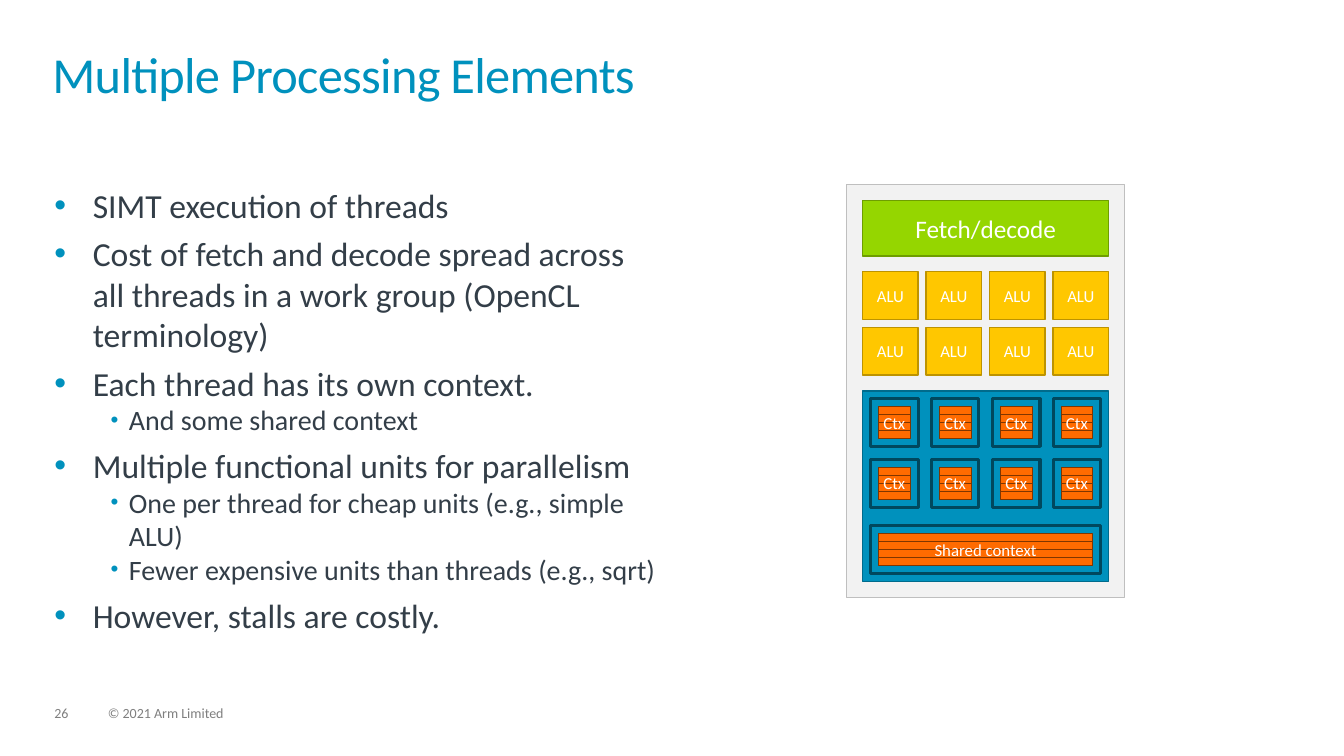
from lxml import etree
from pptx import Presentation
from pptx.dml.color import RGBColor
from pptx.enum.shapes import MSO_SHAPE
from pptx.enum.text import MSO_ANCHOR, MSO_AUTO_SIZE, PP_ALIGN
from pptx.oxml.ns import qn
from pptx.util import Cm, Pt

RECT = MSO_SHAPE.RECTANGLE
TOP, MIDDLE = MSO_ANCHOR.TOP, MSO_ANCHOR.MIDDLE
LEFT, CENTER = PP_ALIGN.LEFT, PP_ALIGN.CENTER

# Content
TITLE = "Multiple Processing Elements"
BULLETS = [
    (0, "SIMT execution of threads"),
    (0, "Cost of fetch and decode spread across all threads in a work group "
        "(OpenCL terminology)"),
    (0, "Each thread has its own context."),
    (1, "And some shared context"),
    (0, "Multiple functional units for parallelism"),
    (1, "One per thread for cheap units (e.g., simple ALU)"),
    (1, "Fewer expensive units than threads (e.g., sqrt)"),
    (0, "However, stalls are costly."),
]
# Text, left, width in cm
FOOTERS = [("26", 1.37, 0.86), ("© 2021 Arm Limited", 2.72, 12.88)]
ROWS, COLUMNS, BANDS = 2, 4, 4

# Formats
BLUE, WHITE = "0091BD", "FFFFFF"
LEVELS = [
    {"size": 24, "margin": 0.97, "hang": 0.97, "before": 6, "bullet_size": 100},
    {"size": 20, "margin": 1.88, "hang": 0.46, "before": 0, "bullet_size": 80},
]
# Fill, line colour, line width in points
PANEL = ("F2F2F2", "BFBFBF", 0.5)
DECODER = ("95D600", "6E9E00", 1)
UNIT = ("FFC700", "BD9300", 1)
STORE = (BLUE, "006B8C", 1)
FRAME = (BLUE, "00485E", 2.25)
BAND = ("FF6B00", "803600", 0.5)

# Diagram measures in cm
PANEL_LEFT, PANEL_TOP, PANEL_WIDTH, PANEL_HEIGHT = 21.34, 4.65, 7, 10.4
STEP = 0.2
MARGIN = 2 * STEP
CELL = 1.2
UNIT_WIDTH = 1.4
INNER_LEFT = PANEL_LEFT + MARGIN
INNER_WIDTH = PANEL_WIDTH - 2 * MARGIN
DECODER_TOP, DECODER_HEIGHT = PANEL_TOP + MARGIN, 1.4
UNITS_TOP = DECODER_TOP + DECODER_HEIGHT + MARGIN
STORE_TOP = UNITS_TOP + ROWS * CELL + STEP + MARGIN
STORE_HEIGHT = PANEL_TOP + PANEL_HEIGHT - MARGIN - STORE_TOP
FRAME_LEFT = INNER_LEFT + STEP
SHARED_WIDTH = INNER_WIDTH - 2 * STEP
SHARED_TOP = STORE_TOP + STORE_HEIGHT - STEP - CELL
UNIT_PITCH = (INNER_WIDTH - UNIT_WIDTH) / (COLUMNS - 1)
FRAME_PITCH = (SHARED_WIDTH - CELL) / (COLUMNS - 1)


def color(value):
    return RGBColor.from_string(value)


def area(left, top, width, height):
    return [Cm(round(value, 2)) for value in (left, top, width, height)]


def set_all(target, values):
    for name, value in values.items():
        setattr(target, name, value)


def prepare(frame, anchor=TOP, wrap=True, sides=0, ends=0):
    set_all(frame, {
        "auto_size": MSO_AUTO_SIZE.NONE, "word_wrap": wrap,
        "vertical_anchor": anchor,
        "margin_left": Cm(sides), "margin_right": Cm(sides),
        "margin_top": Cm(ends), "margin_bottom": Cm(ends),
    })


def write(para, text, size, ink, align=LEFT, spacing=1.0):
    set_all(para, {"alignment": align, "line_spacing": spacing})
    span = para.add_run()
    span.text = text
    set_all(span.font, {"name": "Calibri", "size": Pt(size), "bold": False})
    span.font.color.rgb = color(ink)
    return span


def add_bullet(para, level):
    properties = para._p.get_or_add_pPr()
    properties.set("marL", str(Cm(level["margin"])))
    properties.set("indent", str(-Cm(level["hang"])))
    tint = etree.SubElement(properties, qn("a:buClr"))
    etree.SubElement(tint, qn("a:srgbClr"), val=BLUE)
    etree.SubElement(properties, qn("a:buSzPct"),
                     val=str(level["bullet_size"] * 1000))
    etree.SubElement(properties, qn("a:buFont"), typeface="Arial")
    etree.SubElement(properties, qn("a:buChar"), char="•")


def add_block(shapes, place, style):
    fill, line, width = style
    block = shapes.add_shape(RECT, *area(*place))
    block.shadow.inherit = False
    block.fill.solid()
    block.fill.fore_color.rgb = color(fill)
    block.line.color.rgb = color(line)
    block.line.width = Pt(width)
    return block


def add_labelled(shapes, place, style, text, size, sides):
    frame = add_block(shapes, place, style).text_frame
    prepare(frame, MIDDLE, sides=sides, ends=0.13)
    write(frame.paragraphs[0], text, size, WHITE, CENTER)


def add_text(shapes, place, text, size, ink, align=LEFT, wrap=True):
    frame = shapes.add_textbox(*area(*place)).text_frame
    prepare(frame, wrap=wrap)
    write(frame.paragraphs[0], text, size, ink, align, 0.9)


def add_context(shapes, left, top, width, text, text_width):
    add_block(shapes, (left, top, width, CELL), FRAME)
    for band in range(BANDS):
        add_block(shapes, (left + STEP, top + (band + 1) * STEP,
                           width - 2 * STEP, STEP), BAND)
    text_left = left + (width - text_width) / 2
    add_text(shapes, (text_left, top + 2 * STEP, text_width, 0.46),
             text, 12, WHITE, CENTER, wrap=False)


def add_diagram(page):
    shapes = page.shapes.add_group_shape().shapes
    add_block(shapes, (PANEL_LEFT, PANEL_TOP, PANEL_WIDTH, PANEL_HEIGHT), PANEL)
    add_labelled(shapes, (INNER_LEFT, DECODER_TOP, INNER_WIDTH, DECODER_HEIGHT),
                 DECODER, "Fetch/decode", 18, 0.25)
    add_block(shapes, (INNER_LEFT, STORE_TOP, INNER_WIDTH, STORE_HEIGHT), STORE)
    for row in range(ROWS):
        for column in range(COLUMNS):
            add_labelled(shapes, (INNER_LEFT + column * UNIT_PITCH,
                                  UNITS_TOP + row * (CELL + STEP),
                                  UNIT_WIDTH, CELL), UNIT, "ALU", 12, 0)
            add_context(shapes, FRAME_LEFT + column * FRAME_PITCH,
                        STORE_TOP + STEP + row * FRAME_PITCH,
                        CELL, "Ctx", 0.56)
    add_context(shapes, FRAME_LEFT, SHARED_TOP, SHARED_WIDTH,
                "Shared context", 2.6)


def main():
    deck = Presentation()
    deck.slide_width, deck.slide_height = Cm(33.87), Cm(19.05)
    page = deck.slides.add_slide(deck.slide_layouts[5])

    # Title
    title = page.shapes.title
    left, top, width, height = area(1.32, 1.32, 31.19, 1.83)
    set_all(title, {"left": left, "top": top, "width": width, "height": height})
    prepare(title.text_frame)
    span = write(title.text_frame.paragraphs[0], TITLE, 36, BLUE, spacing=0.85)
    span.font._element.set("spc", "-50")

    # Bullet list
    frame = page.shapes.add_textbox(*area(1.37, 4.65, 15.19, 11.35)).text_frame
    prepare(frame)
    for index, (depth, text) in enumerate(BULLETS):
        para = frame.add_paragraph() if index else frame.paragraphs[0]
        level = LEVELS[depth]
        add_bullet(para, level)
        para.level = depth
        para.space_before = Pt(level["before"] if index else 0)
        write(para, text, level["size"], "333E48")

    # Processor diagram
    add_diagram(page)

    # Footer
    for text, left, width in FOOTERS:
        add_text(page.shapes, (left, 17.81, width, 0.38), text, 10, "7F7F7F")

    deck.save("out.pptx")


if __name__ == "__main__":
    main()
